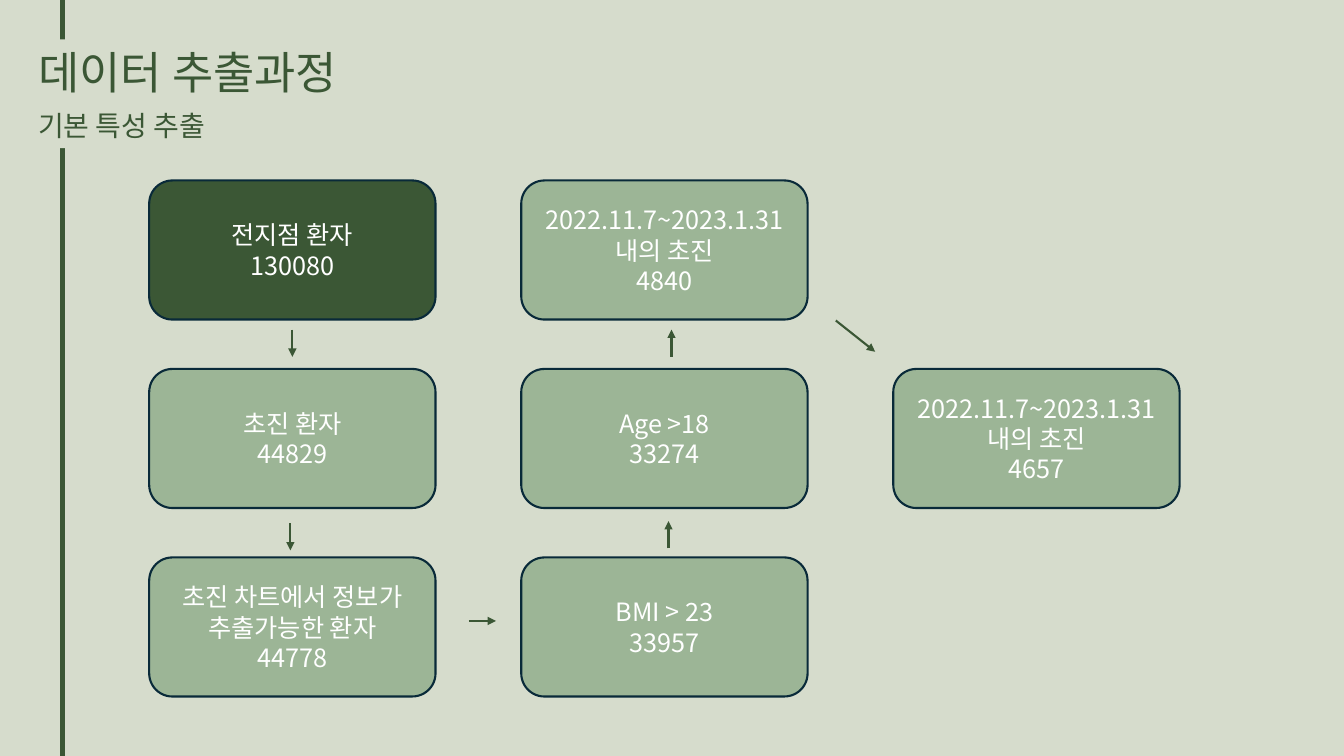
from lxml.etree import SubElement
from pptx import Presentation
from pptx.dml.color import RGBColor
from pptx.enum.shapes import MSO_CONNECTOR, MSO_SHAPE
from pptx.enum.text import MSO_ANCHOR, MSO_AUTO_SIZE, PP_ALIGN
from pptx.oxml.ns import qn
from pptx.util import Inches, Pt

COLORS = {name: RGBColor.from_string(value) for name, value in {
    "background": "D6DCCC", "dark": "3B5735", "sage": "9CB596",
    "outline": "092A39", "white": "FFFFFF"}.items()}
FONT = "Noto Sans CJK KR"
LEFT, TOP = 1.48, 1.79
BOX_W, BOX_H = 2.84, 1.38
COL_STEP, ROW_STEP = 3.69, 1.87


def write(tf, lines, size, color, align):
    tf.word_wrap = True
    for i, line in enumerate(lines):
        p = tf.paragraphs[0] if i == 0 else tf.add_paragraph()
        p.alignment = align
        r = p.add_run()
        r.text = line
        for key, value in {"name": FONT, "size": Pt(size), "bold": False}.items():
            setattr(r.font, key, value)
        r.font.color.rgb = COLORS[color]
        SubElement(r.font._element, qn("a:ea"), typeface=FONT)


def add_line(x1, y1, x2, y2, width):
    line = s.shapes.add_connector(
        MSO_CONNECTOR.STRAIGHT, Inches(x1), Inches(y1), Inches(x2), Inches(y2))
    line.line.color.rgb = COLORS["dark"]
    line.line.width = Pt(width)
    SubElement(line._element.spPr, qn("a:effectLst"))
    return line


prs = Presentation()
prs.slide_width, prs.slide_height = Inches(13.33), Inches(7.5)
s = prs.slides.add_slide(prs.slide_layouts[5])
s.background.fill.solid()
s.background.fill.fore_color.rgb = COLORS["background"]

title = s.shapes.title
rail = add_line(0.62, 0, 0.62, 7.5, 3)
title._element.addprevious(rail._element)
subtitle = s.shapes.add_textbox(0, 0, 0, 0)

for sp, text, size, top, height in [
        (title, "데이터 추출과정", 32, 0.39, 0.64),
        (subtitle, "기본 특성 추출", 20, 1.03, 0.44)]:
    for key, value in {"left": 0.28, "top": top, "width": 12.9, "height": height}.items():
        setattr(sp, key, Inches(value))
    sp.fill.solid()
    sp.fill.fore_color.rgb = COLORS["background"]
    write(sp.text_frame, [text], size, "dark", PP_ALIGN.LEFT)
    sp.text_frame.vertical_anchor = MSO_ANCHOR.TOP
    sp.text_frame.auto_size = MSO_AUTO_SIZE.SHAPE_TO_FIT_TEXT

steps = [
    (0, 0, "dark", "전지점 환자", "130080"),
    (0, 1, "sage", "초진 환자", "44829"),
    (0, 2, "sage", "초진 차트에서 정보가 추출가능한 환자", "44778"),
    (1, 2, "sage", "BMI > 23", "33957"),
    (1, 1, "sage", "Age >18", "33274"),
    (1, 0, "sage", "2022.11.7~2023.1.31내의 초진", "4840"),
    (2, 1, "sage", "2022.11.7~2023.1.31내의 초진", "4657"),
]
for col, row, color, label, count in steps:
    sp = s.shapes.add_shape(
        MSO_SHAPE.ROUNDED_RECTANGLE,
        Inches(LEFT + col * COL_STEP), Inches(TOP + row * ROW_STEP),
        Inches(BOX_W), Inches(BOX_H))
    sp.shadow.inherit = False
    sp.fill.solid()
    sp.fill.fore_color.rgb = COLORS[color]
    sp.line.color.rgb = COLORS["outline"]
    sp.line.width = Pt(1.5)
    sp.text_frame.vertical_anchor = MSO_ANCHOR.MIDDLE
    write(sp.text_frame, [label, count], 18, "white", PP_ALIGN.CENTER)

arrows = [
    (2.9, 3.27, 0, 0.27),
    (2.88, 5.19, 0, 0.27),
    (4.65, 6.16, 0.27, 0),
    (6.63, 5.44, 0, -0.27),
    (6.66, 3.54, 0, -0.27),
    (8.29, 3.18, 0.39, 0.31),
]
for x, y, dx, dy in arrows:
    arrow = add_line(x, y, x + dx, y + dy, 1.5)
    SubElement(arrow.line._get_or_add_ln(), qn("a:tailEnd"), type="triangle")

prs.save("out.pptx")
